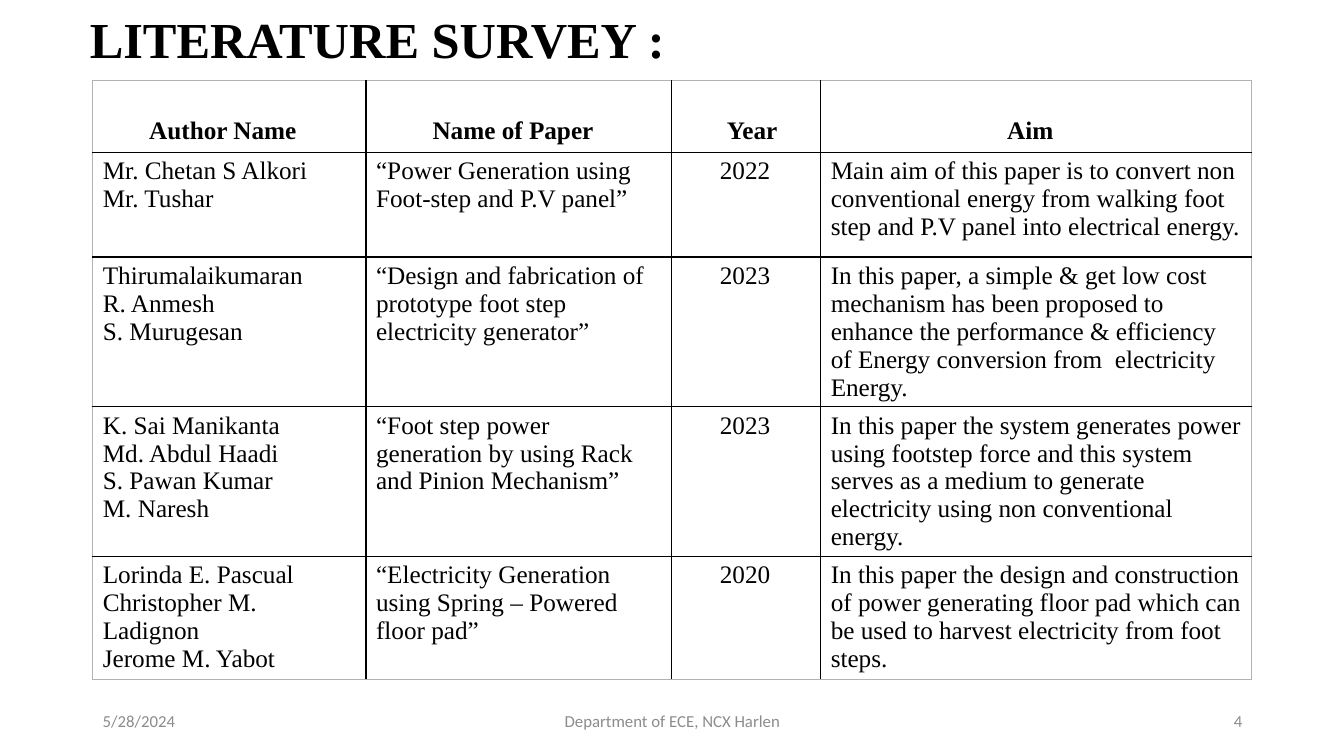
"""Build the literature survey slide with its table of papers."""
from dataclasses import dataclass

from lxml.etree import SubElement
from pptx import Presentation
from pptx.dml.color import RGBColor
from pptx.enum.text import MSO_ANCHOR, MSO_AUTO_SIZE, PP_ALIGN
from pptx.oxml.ns import qn
from pptx.util import Inches, Pt


@dataclass(frozen=True)
class Theme:
    serif: str = "Times New Roman"
    sans: str = "Calibri"
    ink: str = "000000"
    muted: str = "8C8C8C"
    frame: str = "B2B2B2"
    paper: str = "FFFFFF"
    title_size: int = 36
    body_size: int = 18
    footer_size: int = 12
    border: int = 1


theme = Theme()


def write_text(frame, text, font=theme.serif, size=theme.body_size, color=theme.ink,
               bold=False, align=PP_ALIGN.LEFT, spacing=None):
    """Write each line of text as one formatted paragraph."""
    frame.word_wrap = True
    for index, line in enumerate(text.split("\n")):
        paragraph = frame.add_paragraph() if index else frame.paragraphs[0]
        paragraph.alignment = align
        paragraph.line_spacing = spacing
        run = paragraph.add_run()
        run.text = line
        run.font.name = font
        run.font.size = Pt(size)
        run.font.bold = bold
        run.font.color.rgb = RGBColor.from_string(color)


def add_border(cell, side, color):
    """Draw one side of a table cell."""
    line = SubElement(cell._tc.get_or_add_tcPr(), qn(f"a:ln{side}"), w=str(Pt(theme.border)))
    SubElement(SubElement(line, qn("a:solidFill")), qn("a:srgbClr"), val=color)


presentation = Presentation()
presentation.slide_width = Inches(13.33)
presentation.slide_height = Inches(7.5)
slide = presentation.slides.add_slide(presentation.slide_layouts[5])

title = slide.shapes.title
title.left, title.top = Inches(0.79), Inches(-0.31)
title.width, title.height = Inches(11.5), Inches(1.45)
title.text_frame.auto_size = MSO_AUTO_SIZE.NONE
title.text_frame.vertical_anchor = MSO_ANCHOR.MIDDLE
write_text(title.text_frame, "LITERATURE SURVEY :", size=theme.title_size, bold=True, spacing=0.9)

rows = [
    ("Author Name", "Name of Paper", "Year", "Aim"),
    ("Mr. Chetan S Alkori\nMr. Tushar",
     "“Power Generation using\nFoot-step and P.V panel”",
     "2022",
     "Main aim of this paper is to convert non conventional energy from walking foot "
     "step and P.V panel into electrical energy."),
    ("Thirumalaikumaran\nR. Anmesh\nS. Murugesan",
     "“Design and fabrication of prototype foot step electricity generator”",
     "2023",
     "In this paper, a simple & get low cost mechanism has been proposed to enhance the "
     "performance & efficiency of Energy conversion from  electricity Energy."),
    ("K. Sai Manikanta\nMd. Abdul Haadi\nS. Pawan Kumar\nM. Naresh",
     "“Foot step power generation by using Rack and Pinion Mechanism”",
     "2023",
     "In this paper the system generates power using footstep force and this system "
     "serves as a medium to generate electricity using non conventional energy."),
    ("Lorinda E. Pascual\nChristopher M. Ladignon\nJerome M. Yabot",
     "“Electricity Generation using Spring – Powered floor pad”",
     "2020",
     "In this paper the design and construction of power generating floor pad which can "
     "be used to harvest electricity from foot steps."),
]
column_widths = [2.71, 3.03, 1.48, 4.27]
row_heights = [0.71, 1.04, 1.48, 1.48, 1.22]
header_indents = [0.56, 0.66, 0.55, 1.85]
body_indents = [0.1, 0.1, 0.48, 0.1]
last_row, last_column = len(rows) - 1, len(column_widths) - 1

table = slide.shapes.add_table(len(rows), len(column_widths), Inches(0.92), Inches(0.8),
                               Inches(sum(column_widths)), Inches(sum(row_heights))).table
table.first_row = table.horz_banding = False
for column, width in zip(table.columns, column_widths):
    column.width = Inches(width)

for row_index, texts in enumerate(rows):
    table.rows[row_index].height = Inches(row_heights[row_index])
    is_header = row_index == 0
    indents = header_indents if is_header else body_indents
    for column_index, text in enumerate(texts):
        cell = table.cell(row_index, column_index)
        outer_sides = {"L": column_index == 0, "R": column_index == last_column,
                       "T": is_header, "B": row_index == last_row}
        for side, is_outer in outer_sides.items():
            add_border(cell, side, theme.frame if is_outer else theme.ink)
        cell.fill.solid()
        cell.fill.fore_color.rgb = RGBColor.from_string(theme.paper)
        cell.vertical_anchor = MSO_ANCHOR.BOTTOM if is_header else MSO_ANCHOR.TOP
        cell.margin_left = Inches(indents[column_index])
        cell.margin_right = Inches(0.1)
        cell.margin_top = Inches(0.05)
        cell.margin_bottom = Inches(0.07 if is_header else 0.05)
        write_text(cell.text_frame, text, bold=is_header)

footers = [
    ("5/28/2024", 0.92, 3, PP_ALIGN.LEFT),
    ("Department of ECE, NCX Harlen", 4.42, 4.5, PP_ALIGN.CENTER),
    ("4", 9.42, 3, PP_ALIGN.RIGHT),
]
for text, left, width, align in footers:
    footer = slide.shapes.add_textbox(Inches(left), Inches(6.95), Inches(width), Inches(0.4))
    footer.text_frame.vertical_anchor = MSO_ANCHOR.MIDDLE
    write_text(footer.text_frame, text, font=theme.sans, size=theme.footer_size,
               color=theme.muted, align=align)

presentation.save("out.pptx")
